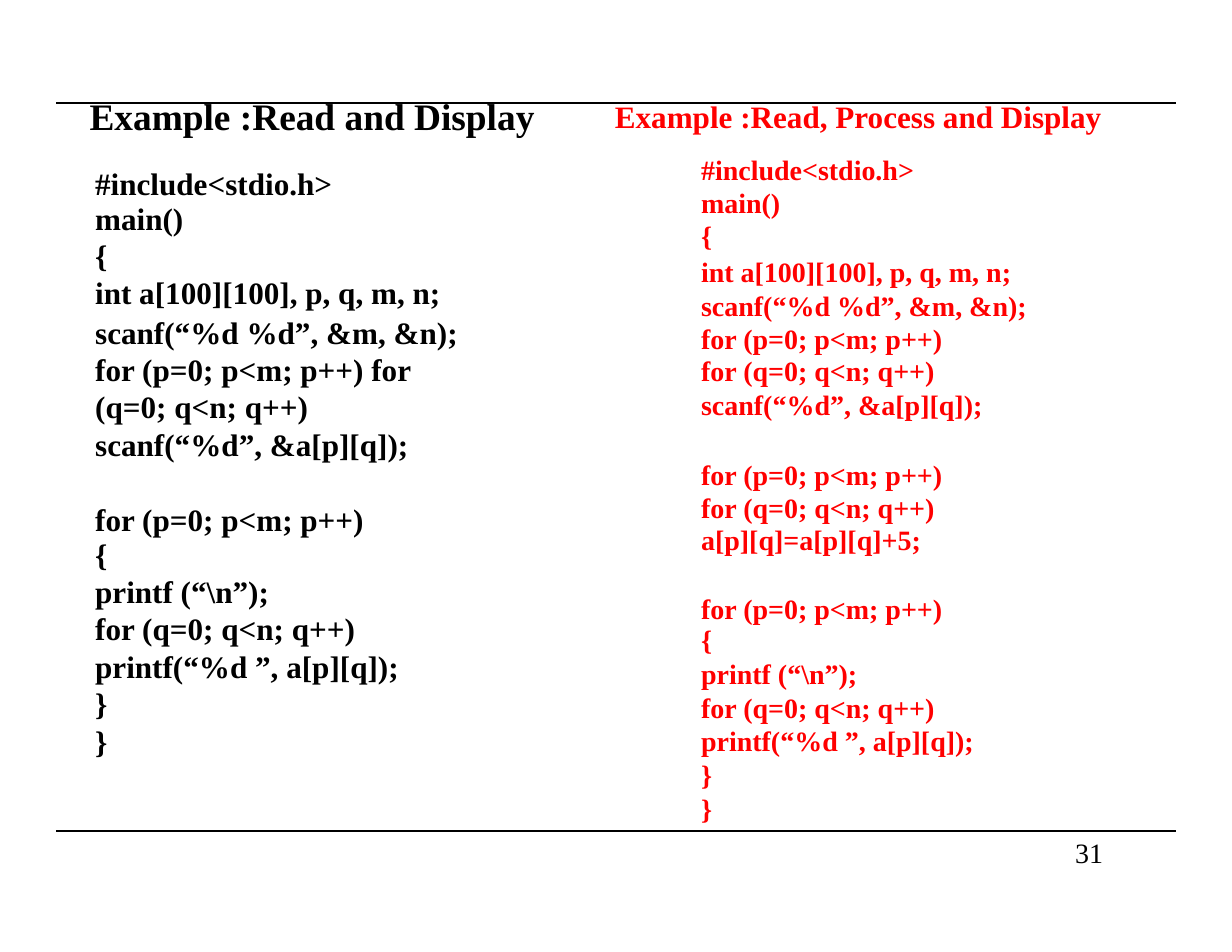
from lxml.etree import SubElement
from pptx import Presentation
from pptx.dml.color import RGBColor
from pptx.enum.shapes import MSO_CONNECTOR
from pptx.oxml.ns import qn
from pptx.util import Inches, Pt

COLORS = {"black": "000000", "red": "FF0000"}
FONT = "Times New Roman"

# Exact height of a block's first line, by text size
FIRST_LINE = {24: 24.8, 20: 20.8, 18: 18.8}
# Spacing of the later lines: line spacing, space before as a share of text size
SPACING = {"step": (0.96, 0.05), "tight": (0.96, 0), "loose": (1.0, 0.05), "full": (1.0, 0)}

RULES = [0.92, 7.42]
RULE_LEFT, RULE_RIGHT = 0.5, 10.5

HEADINGS = [
    # left, top, width, size, color, bold, text
    (0.8, 0.89, 4.1, 24, "black", True, "Example :Read and Display"),
    (5.49, 0.91, 4.5, 20, "red", True, "Example :Read, Process and Display"),
    (9.6, 7.5, 0.32, 18, "black", False, "31"),
]

DISPLAY_LOOP = [
    ("for (p=0; p<m; p++)", "first"),
    ("{", "tight"),
    ("printf (“\\n”);", "step"),
    ("for (q=0; q<n; q++)", "step"),
    ("printf(“%d ”, a[p][q]);", "step"),
    ("}", "step"),
    ("}", "step"),
]

LISTINGS = [
    {
        "left": 0.85, "width": 3.4, "size": 20, "color": "black",
        "blocks": [
            (1.51, [
                ("#include<stdio.h>", "first"),
                ("main()", "tight"),
                ("{", "step"),
                ("int a[100][100], p, q, m, n;", "step"),
            ]),
            (2.84, [
                ("scanf(“%d %d”, &m, &n);", "first"),
                ("for (p=0; p<m; p++) for", "full"),
                ("(q=0; q<n; q++)", "full"),
                ("scanf(“%d”, &a[p][q]);", "full"),
            ]),
            (4.51, DISPLAY_LOOP),
        ],
    },
    {
        "left": 6.26, "width": 3.4, "size": 18, "color": "red",
        "blocks": [
            (1.4, [
                ("#include<stdio.h>", "first"),
                ("main()", "step"),
                ("{", "step"),
                ("int a[100][100], p, q, m, n;", "loose"),
                ("scanf(“%d %d”, &m, &n);", "full"),
                ("for (p=0; p<m; p++)", "full"),
                ("for (q=0; q<n; q++)", "tight"),
                ("scanf(“%d”, &a[p][q]);", "step"),
            ]),
            (4.12, [("for (p=0; p<m; p++)", "first")]),
            (4.42, [
                ("for (q=0; q<n; q++)", "first"),
                ("a[p][q]=a[p][q]+5;", "tight"),
            ]),
            (5.32, DISPLAY_LOOP),
        ],
    },
]


def add_rule(slide, top):
    rule = slide.shapes.add_connector(
        MSO_CONNECTOR.STRAIGHT,
        Inches(RULE_LEFT), Inches(top), Inches(RULE_RIGHT), Inches(top),
    )
    rule.line.color.rgb = RGBColor.from_string(COLORS["black"])
    rule.line.width = Pt(1.18)
    SubElement(rule._element.spPr, qn("a:effectLst"))


def add_text(slide, left, top, width, size, color, bold, lines):
    height = len(lines) * size * 1.2 / 72
    box = slide.shapes.add_textbox(Inches(left), Inches(top), Inches(width), Inches(height))
    frame = box.text_frame
    frame.word_wrap = True
    for side in ("left", "top", "right", "bottom"):
        setattr(frame, f"margin_{side}", 0)
    font_format = {"name": FONT, "size": Pt(size), "bold": bold}
    for index, (text, spacing) in enumerate(lines):
        paragraph = frame.add_paragraph() if index else frame.paragraphs[0]
        if spacing == "first":
            paragraph.line_spacing = Pt(FIRST_LINE[size])
        else:
            paragraph.line_spacing, share = SPACING[spacing]
            paragraph.space_before = Pt(size * share)
        run = paragraph.add_run()
        run.text = text
        for name, value in font_format.items():
            setattr(run.font, name, value)
        run.font.color.rgb = RGBColor.from_string(COLORS[color])


def main():
    presentation = Presentation()
    presentation.slide_width = Inches(11)
    presentation.slide_height = Inches(8.5)
    slide = presentation.slides.add_slide(presentation.slide_layouts[6])

    for top in RULES:
        add_rule(slide, top)
    for left, top, width, size, color, bold, text in HEADINGS:
        add_text(slide, left, top, width, size, color, bold, [(text, "first")])
    for listing in LISTINGS:
        for top, lines in listing["blocks"]:
            add_text(slide, listing["left"], top, listing["width"],
                     listing["size"], listing["color"], True, lines)

    presentation.save("out.pptx")


if __name__ == "__main__":
    main()
